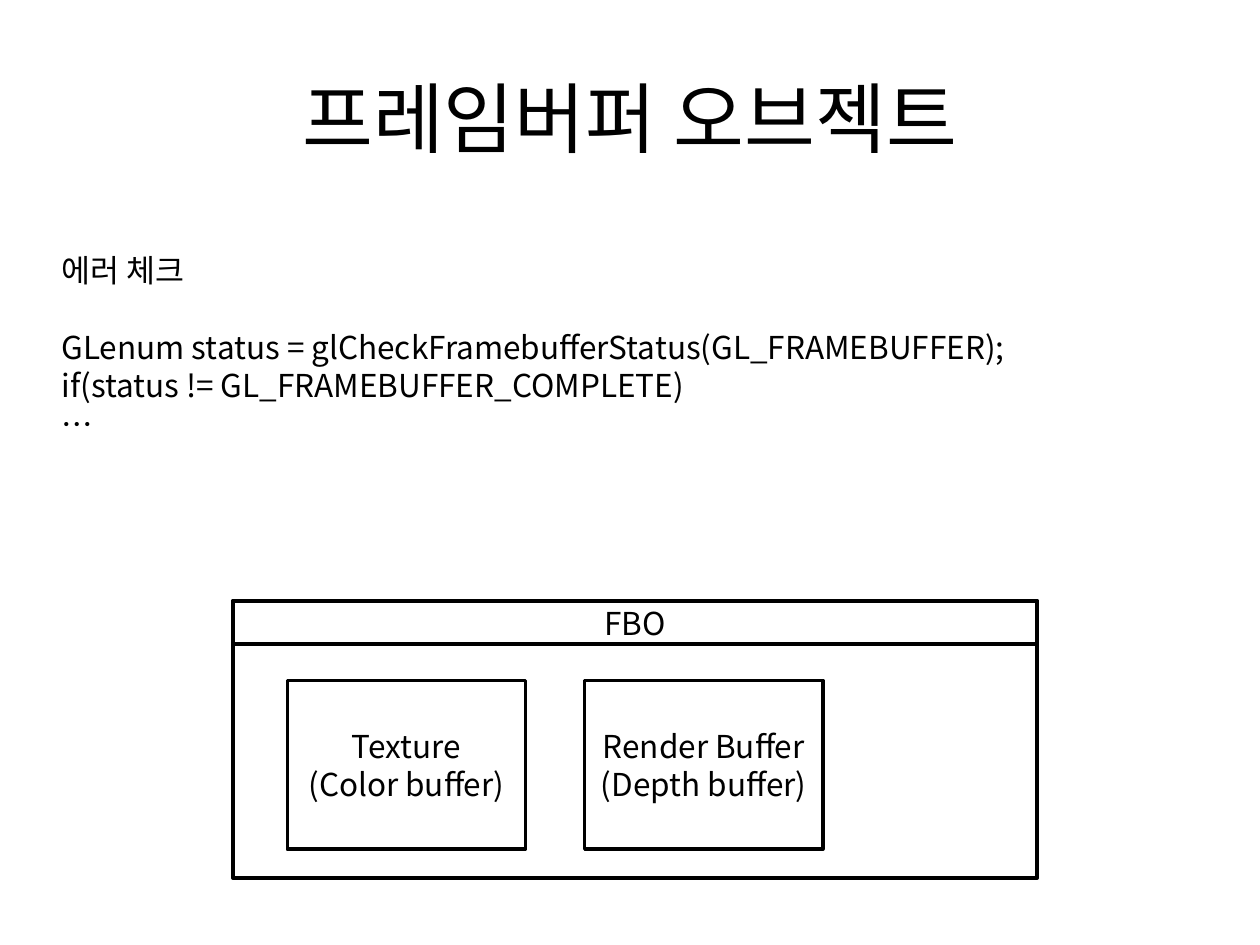
from lxml import etree
from pptx import Presentation
from pptx import util as u
from pptx.dml.color import RGBColor
from pptx.enum import shapes, text
from pptx.oxml.ns import qn


def color(hex_string):
    return RGBColor.from_string(hex_string)


class SlideBuilder:
    font = "Noto Sans CJK KR"
    ink = "000000"
    paper = "FFFFFF"
    body_size = 18
    line_pitch = 21.9

    def __init__(self, slide):
        self.slide = slide

    def format_paragraph(self, paragraph, size, alignment):
        paragraph.alignment = alignment
        for run in paragraph.runs:
            run.font.size = u.Pt(size)
            run.font.color.rgb = color(self.ink)
            run.font.name = self.font
            east_asian = etree.SubElement(run.font._element, qn("a:ea"))
            east_asian.set("typeface", self.font)

    def fill_text(self, frame, lines, alignment):
        frame.word_wrap = True
        frame.text = "\n".join(lines)
        for paragraph in frame.paragraphs:
            self.format_paragraph(paragraph, self.body_size, alignment)
            paragraph.line_spacing = u.Pt(self.line_pitch)

    def title(self, words, left, top, width, height):
        shape = self.slide.shapes.title
        shape.left, shape.top = u.Inches(left), u.Inches(top)
        shape.width, shape.height = u.Inches(width), u.Inches(height)
        frame = shape.text_frame
        frame.text = words
        frame.vertical_anchor = text.MSO_ANCHOR.MIDDLE
        self.format_paragraph(frame.paragraphs[0], 44, text.PP_ALIGN.CENTER)

    def code(self, heading, lines, left, top, width, height):
        """Add a heading with code lines one empty line's height below it."""
        shape = self.slide.shapes.add_textbox(
            u.Inches(left), u.Inches(top), u.Inches(width), u.Inches(height))
        frame = shape.text_frame
        self.fill_text(frame, [heading, *lines], text.PP_ALIGN.LEFT)
        frame.auto_size = text.MSO_AUTO_SIZE.SHAPE_TO_FIT_TEXT
        frame.paragraphs[0].space_after = u.Pt(self.line_pitch)

    def box(self, group, lines, left, top, width, height):
        shape = group.shapes.add_shape(
            shapes.MSO_SHAPE.RECTANGLE,
            u.Inches(left), u.Inches(top), u.Inches(width), u.Inches(height))
        shape.shadow.inherit = False
        shape.fill.solid()
        shape.fill.fore_color.rgb = color(self.paper)
        shape.line.color.rgb = color(self.ink)
        shape.line.width = u.Pt(2)
        if lines:
            shape.text_frame.vertical_anchor = text.MSO_ANCHOR.MIDDLE
            self.fill_text(shape.text_frame, lines, text.PP_ALIGN.CENTER)


def main():
    presentation = Presentation()
    presentation.slide_width = u.Inches(10)
    presentation.slide_height = u.Inches(7.5)
    title_only = presentation.slide_layouts.get_by_name("Title Only")
    slide = presentation.slides.add_slide(title_only)
    builder = SlideBuilder(slide)

    builder.title("프레임버퍼 오브젝트", 0.5, 0.3, 9, 1.25)

    frame_left, frame_top, frame_width = 1.85, 4.77, 6.38
    frame_group = slide.shapes.add_group_shape()
    builder.box(frame_group, [], frame_left, frame_top, frame_width, 2.2)
    builder.box(frame_group, ["FBO"], frame_left, frame_top, frame_width, 0.34)

    attachments = [
        ["Texture", "(Color buffer)"],
        ["Render Buffer", "(Depth buffer)"],
    ]
    for column, lines in enumerate(attachments):
        builder.box(slide, lines, 2.28 + column * 2.36, 5.4, 1.89, 1.34)

    builder.code(
        "에러 체크",
        [
            "GLenum status = glCheckFramebufferStatus(GL_FRAMEBUFFER);",
            "if(status != GL_FRAMEBUFFER_COMPLETE)",
            "…",
        ],
        0.39, 1.94, 9.29, 1.62)

    presentation.save("out.pptx")


if __name__ == "__main__":
    main()
